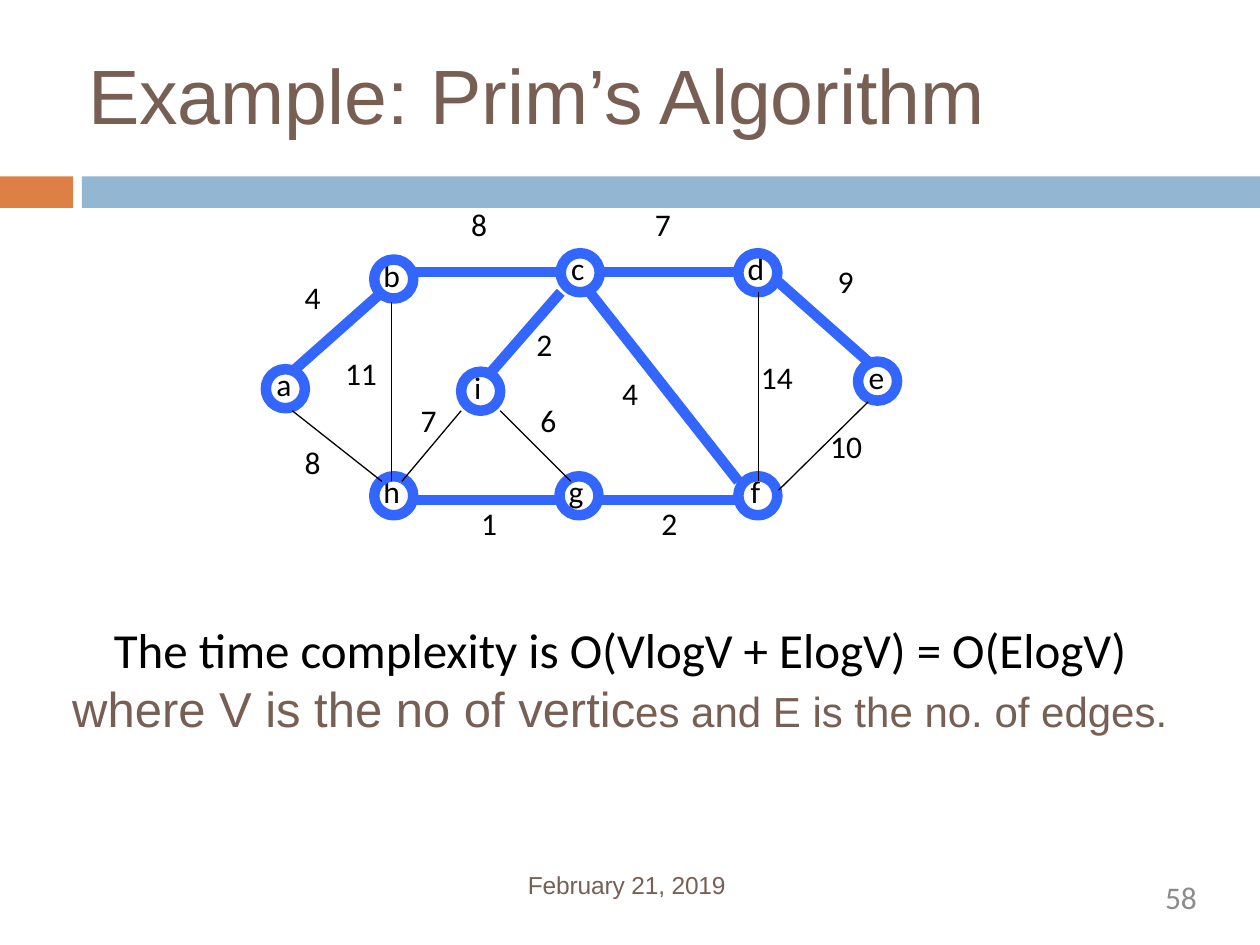
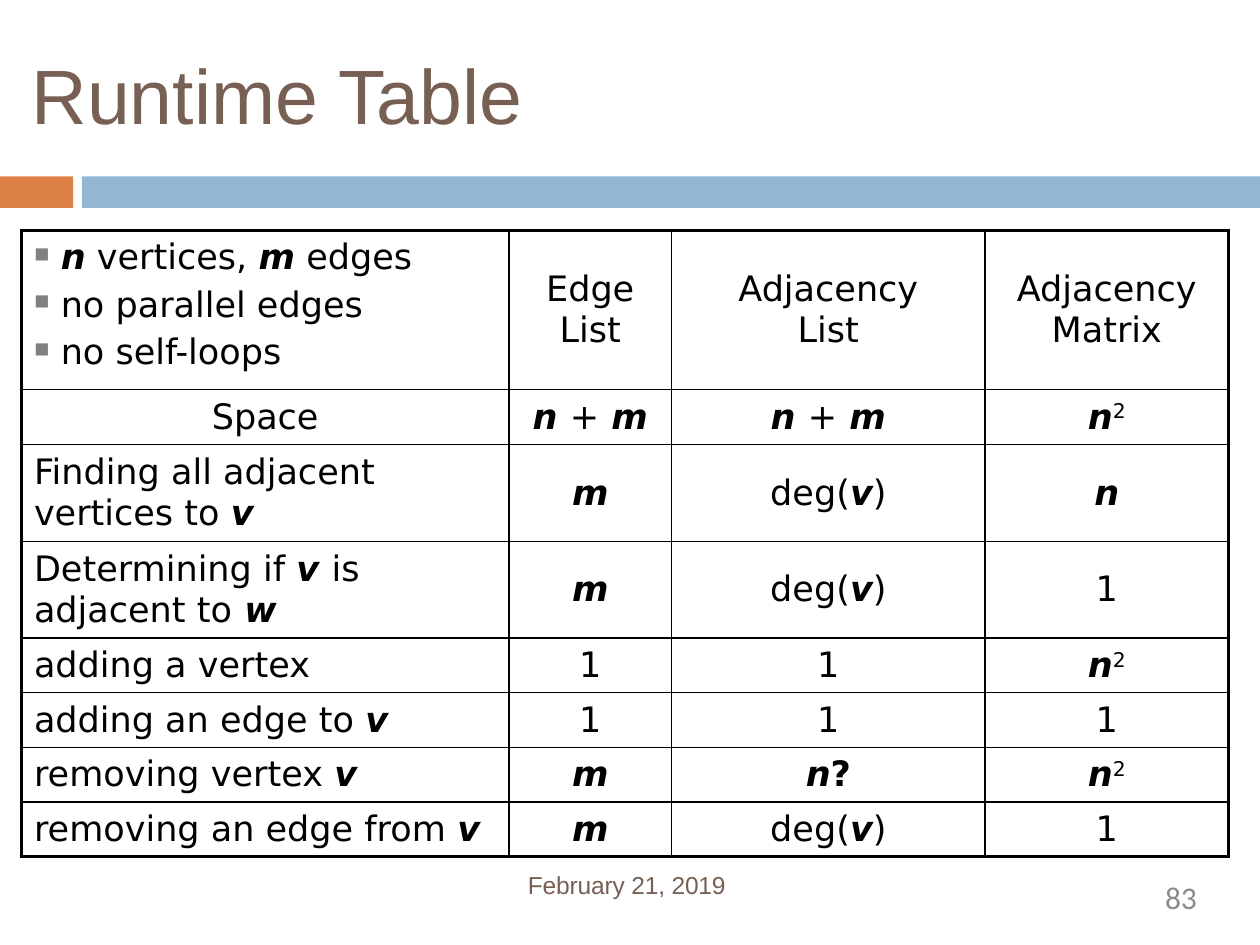
import lxml.etree
import pptx
import pptx.dml.color
import pptx.enum.shapes
import pptx.enum.text
import pptx.oxml
import pptx.oxml.ns
import pptx.util

Inches = pptx.util.Inches
Pt = pptx.util.Pt
ALIGN = pptx.enum.text.PP_ALIGN
SHAPES = pptx.enum.shapes.MSO_SHAPE
qn = pptx.oxml.ns.qn

COLORS = {
    "brown": "775F54", "orange": "DD8046", "sky": "93B6D2", "gray": "8C8C8C",
    "bullet": "808080", "tree": "3366FF", "black": "000000",
}
NODE_SIZE = 0.31

# Places are inches from the corner of the graph: circle left and top, letter box width.
NODES = {
    "a": (0.11, 1.43, 0.32), "b": (0.97, 0.56, 0.34), "h": (0.97, 2.28, 0.34),
    "c": (2.45, 0.51, 0.32), "d": (3.86, 0.51, 0.34), "e": (4.81, 1.37, 0.32),
    "f": (3.86, 2.28, 0.29), "g": (2.44, 2.28, 0.34), "i": (1.66, 1.45, 0.28),
}
# Start, end, weight, corner of the weight label, whether the edge is in the spanning tree.
EDGES = [
    ((0.32, 1.45), (1.03, 0.82), "4", (0.32, 0.66), True),
    ((0.32, 1.76), (1.03, 2.32), "8", (0.32, 1.97), False),
    ((1.11, 0.90), (1.11, 2.32), "11", (0.64, 1.26), False),
    ((1.27, 0.66), (2.45, 0.66), "8", (1.64, 0.08), True),
    ((1.27, 2.47), (2.45, 2.47), "1", (1.72, 2.45), True),
    ((2.76, 2.47), (3.86, 2.47), "2", (3.15, 2.45), True),
    ((2.68, 0.82), (3.86, 2.32), "4", (2.84, 1.42), True),
    ((2.76, 0.66), (3.86, 0.66), "7", (3.10, 0.08), True),
    ((4.02, 0.82), (4.02, 2.32), "14", (3.94, 1.29), False),
    ((4.18, 0.74), (4.89, 1.37), "9", (4.55, 0.53), True),
    ((4.18, 2.39), (4.89, 1.69), "10", (4.49, 1.84), False),
    ((1.97, 1.76), (2.53, 2.32), "6", (2.19, 1.63), False),
    ((1.19, 2.32), (1.66, 1.76), "7", (1.24, 1.63), False),
    ((1.90, 1.45), (2.45, 0.82), "2", (2.16, 1.03), True),
]

# Runs are split by "|"; "*" starts bold italic, "!" bold, "^" superscript.
ASSUMPTIONS = [" |*n| vertices, |*m| edges", " no parallel edges", " no self-loops"]
RUNTIMES = [
    ["", "Edge|\n|List", "Adjacency|\n|List", "Adjacency Matrix"],
    ["Space", "*n |+|* m", "*n |+|* m", "*n|^2"],
    ["Finding all adjacent vertices to |*v", "*m", "deg(|*v|)", "*n"],
    ["Determining if |*v |is adjacent to|* w", "*m", "deg(|*v|)", "1"],
    ["adding a vertex", "1", "1", "*n|^2"],
    ["adding an edge to |*v", "1", "1", "1"],
    ["removing vertex |*v", "*m", "*n|!?", "*n|^2"],
    ["removing an edge from |*v", "*m", "deg(|*v|)", "1"],
]
COLUMN_WIDTHS = [3.87, 1.29, 2.49, 1.93]
ROW_HEIGHTS = [1.26, 0.44, 0.76, 0.76, 0.42, 0.43, 0.42, 0.42]


def rgb(color):
    return pptx.dml.color.RGBColor.from_string(COLORS[color])


def add_run(paragraph, text, size, font, color):
    run = paragraph.add_run()
    run.text = text
    run.font.size = Pt(size)
    run.font.name = font
    run.font.color.rgb = rgb(color)
    return run


def add_text(shapes, box, paragraphs, align=ALIGN.LEFT, inset=True, wrap=True):
    """Add a text box; each paragraph is a list of (text, size, font, color) runs."""
    textbox = shapes.add_textbox(*map(Inches, box))
    frame = textbox.text_frame
    frame.word_wrap = wrap
    frame.auto_size = pptx.enum.text.MSO_AUTO_SIZE.SHAPE_TO_FIT_TEXT
    if not inset:
        frame.margin_left = frame.margin_right = frame.margin_top = frame.margin_bottom = 0
    for index, runs in enumerate(paragraphs):
        paragraph = frame.add_paragraph() if index else frame.paragraphs[0]
        paragraph.alignment = align
        for run in runs:
            add_run(paragraph, *run)
    return frame


def add_frame(prs, title, title_left, number):
    """Add a slide with the shared title, bands, date and page number."""
    slide = prs.slides.add_slide(prs.slide_layouts[6])
    for left, right, color in ((0, 0.58, "orange"), (0.65, 10, "sky")):
        band = slide.shapes.add_shape(
            SHAPES.RECTANGLE, *map(Inches, (left, 1.4, right - left, 0.25)))
        band.shadow.inherit = False
        band.fill.solid()
        band.fill.fore_color.rgb = rgb(color)
        band.line.fill.background()
    add_text(slide.shapes, (title_left, 0.38, 9.3 - title_left, 0.76),
             [[(title, 44, "Arial", "brown")]], inset=False)
    date = add_text(slide.shapes, (4.19, 6.92, 2.32, 0.24),
                    [[("February 21, 2019", 14, "Arial", "brown")]], inset=False)
    date.paragraphs[0].line_spacing = Pt(15.8)
    date.paragraphs[0].runs[0].font._element.set("spc", "-10")
    add_text(slide.shapes, (7.2, 6.97, 2.3, 0.38),
             [[(number, 18, "Calibri", "gray")]], ALIGN.RIGHT, inset=False)
    return slide


def add_node(shapes, letter, left, top, letter_width):
    letter_left = left + NODE_SIZE / 2 - letter_width / 2 - 0.01
    add_text(shapes, (letter_left, top - 0.08, letter_width, 0.43),
             [[(letter, 18, "Calibri", "black")]], wrap=False)
    circle = shapes.add_shape(
        SHAPES.OVAL, *map(Inches, (left, top, NODE_SIZE, NODE_SIZE)))
    circle.shadow.inherit = False
    circle.fill.background()
    circle.line.color.rgb = rgb("tree")
    circle.line.width = Pt(6)


def add_edge(shapes, start, end, in_tree):
    edge = shapes.add_connector(
        pptx.enum.shapes.MSO_CONNECTOR.STRAIGHT, *map(Inches, start + end))
    edge.line.color.rgb = rgb("tree" if in_tree else "black")
    edge.line.width = Pt(6 if in_tree else 0.75)
    lxml.etree.SubElement(edge._element.spPr, qn("a:effectLst"))


def add_graph(slide, left, top):
    shapes = slide.shapes.add_group_shape().shapes

    def place(point):
        return left + point[0], top + point[1]

    for letter, (x, y, letter_width) in NODES.items():
        add_node(shapes, letter, *place((x, y)), letter_width)
    for start, end, _, _, in_tree in EDGES:
        add_edge(shapes, place(start), place(end), in_tree)
    for _, _, weight, corner, _ in EDGES:
        width = 0.37 if len(weight) == 1 else 0.53
        add_text(shapes, place(corner) + (width, 0.5),
                 [[(weight, 18, "Calibri", "black")]], wrap=False)


def add_complexity(slide, box):
    add_text(slide.shapes, box, [
        [("The time complexity is O(VlogV + ElogV) = O(ElogV)", 28, "Calibri", "black")],
        [("where V is the no of vertic", 28, "Arial", "brown"),
         ("es and E is the no. of edges.", 24, "Arial", "brown")],
    ], ALIGN.CENTER, inset=False)


def add_child(parent, tag, **attributes):
    return lxml.etree.SubElement(parent, qn(tag), attributes)


def write_marked(paragraph, marked, bullet=False):
    """Write one cell paragraph from marked text."""
    properties = paragraph._p.get_or_add_pPr()
    add_child(add_child(properties, "a:spcBef"), "a:spcPct", val="20000")
    if bullet:
        add_child(add_child(properties, "a:buClr"), "a:srgbClr", val=COLORS["bullet"])
        add_child(properties, "a:buSzPct", val="60000")
        add_child(properties, "a:buChar", char="■")
    for piece in marked.split("|"):
        if piece == "\n":
            paragraph.add_line_break()
            continue
        mark = piece[0] if piece[0] in "*!^" else ""
        run = add_run(paragraph, piece[len(mark):], 20, "DejaVu Sans", "black")
        run.font.bold = mark in ("*", "!")
        run.font.italic = mark == "*"
        if mark == "^":
            run.font._element.set("baseline", "30000")


def set_borders(cell, outer_sides):
    properties = cell._tc.get_or_add_tcPr()
    for side in "LRTB":
        width = Pt(2.25 if side in outer_sides else 1)
        border = add_child(properties, f"a:ln{side}", w=str(int(width)))
        add_child(add_child(border, "a:solidFill"), "a:srgbClr", val=COLORS["black"])


def add_runtimes(slide, box):
    row_count, column_count = len(ROW_HEIGHTS), len(COLUMN_WIDTHS)
    table = slide.shapes.add_table(row_count, column_count, *map(Inches, box)).table
    table.first_row = table.horz_banding = False
    for column, width in zip(table.columns, COLUMN_WIDTHS):
        column.width = Inches(width)
    for row, height in zip(table.rows, ROW_HEIGHTS):
        row.height = Inches(height)
    for r, texts in enumerate(RUNTIMES):
        for c, marked in enumerate(texts):
            cell = table.cell(r, c)
            outer = {"T": r == 0, "B": r == row_count - 1,
                     "L": c == 0, "R": c == column_count - 1}
            set_borders(cell, [side for side in outer if outer[side]])
            cell.fill.background()
            frame = cell.text_frame
            if r == c == 0:
                for index, assumption in enumerate(ASSUMPTIONS):
                    paragraph = frame.add_paragraph() if index else frame.paragraphs[0]
                    write_marked(paragraph, assumption, bullet=True)
                continue
            cell.vertical_anchor = pptx.enum.text.MSO_ANCHOR.MIDDLE
            write_marked(frame.paragraphs[0], marked)
            if c or r == 1:
                frame.paragraphs[0].alignment = ALIGN.CENTER


def main():
    prs = pptx.Presentation()
    prs.slide_width, prs.slide_height = Inches(10), Inches(7.5)
    prim = add_frame(prs, "Example: Prim’s Algorithm", 0.7, "58")
    add_graph(prim, 2, 1.5)
    add_complexity(prim, (0.17, 4.92, 9.5, 0.94))
    runtime = add_frame(prs, "Runtime Table", 0.25, "83")
    add_runtimes(runtime, (0.17, 1.83, 9.58, 4.96))
    prs.save("out.pptx")


if __name__ == "__main__":
    main()
